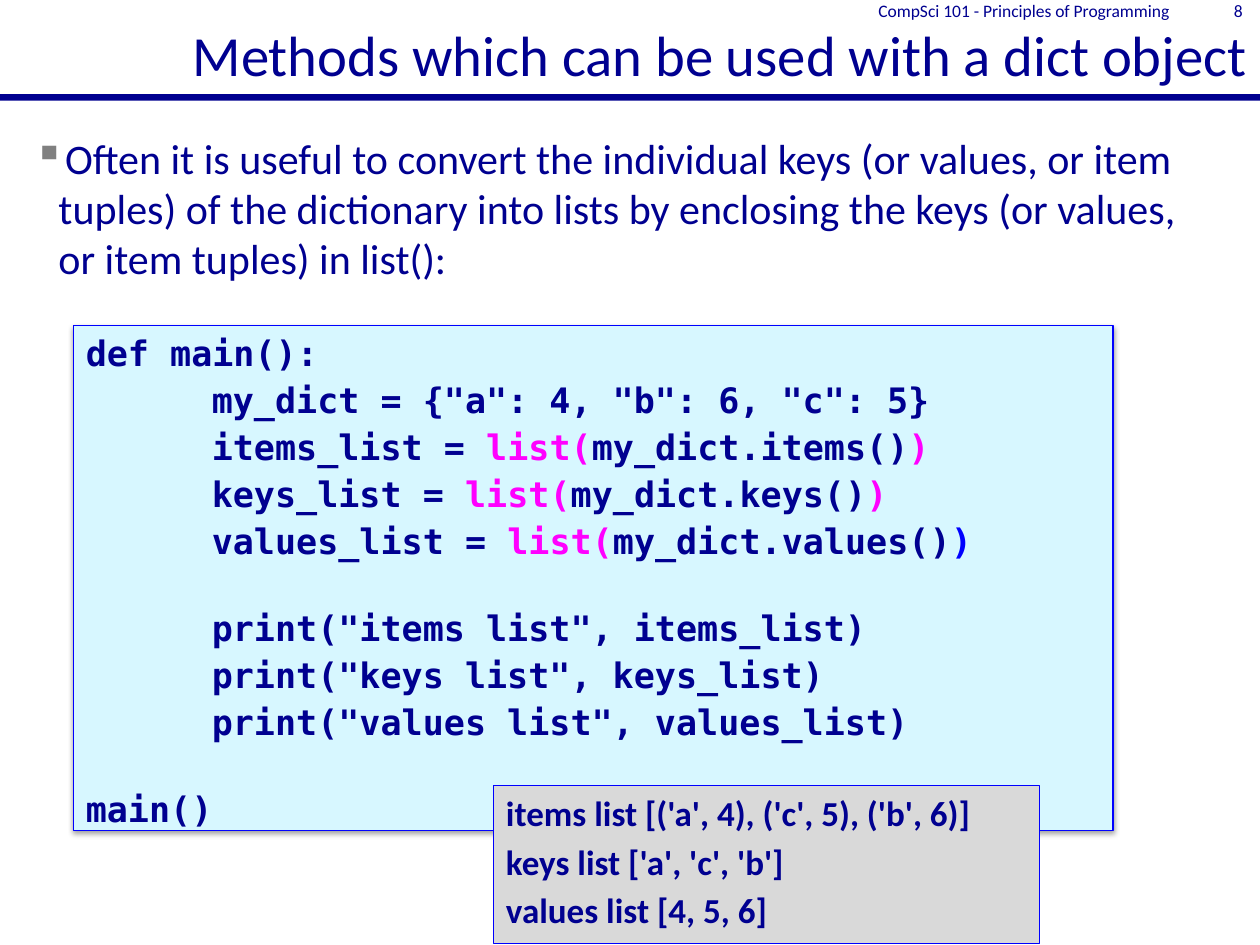
from dataclasses import dataclass

from lxml import etree
from pptx import Presentation
from pptx.dml.color import RGBColor
from pptx.enum.shapes import MSO_SHAPE
from pptx.enum.text import MSO_ANCHOR, MSO_AUTO_SIZE, PP_ALIGN
from pptx.oxml.ns import qn
from pptx.util import Cm, Pt

RECT = MSO_SHAPE.RECTANGLE
TOP, MIDDLE, BOTTOM = MSO_ANCHOR.TOP, MSO_ANCHOR.MIDDLE, MSO_ANCHOR.BOTTOM
LEFT, RIGHT = PP_ALIGN.LEFT, PP_ALIGN.RIGHT
NO_FIT = MSO_AUTO_SIZE.NONE


@dataclass(frozen=True)
class Theme:
    navy: str = "000090"
    blue: str = "0000FF"
    magenta: str = "FF00FF"
    code_fill: str = "D7F7FF"
    output_fill: str = "D9D9D9"
    bullet: str = "808080"
    sans: str = "Calibri"
    mono: str = "DejaVu Sans Mono"
    title_size: float = 32.4
    body_size: float = 24
    code_size: float = 20
    header_size: float = 10


class SlideBuilder:
    """Holds the theme and the current slide."""

    def __init__(self, prs, theme):
        self.theme = theme
        self.s = prs.slides.add_slide(prs.slide_layouts[5])

    def frame(self, sp, anchor=TOP):
        tf = sp.text_frame
        settings = {"word_wrap": True, "auto_size": NO_FIT, "vertical_anchor": anchor}
        for name, value in settings.items():
            setattr(tf, name, value)
        return tf

    def paragraph(self, tf, runs, size, font=None, bold=False, align=LEFT,
                  before=0, indent=0):
        """Fill the first empty paragraph or add one; runs are (text, colour)."""
        p = tf.paragraphs[0]
        if p.runs:
            p = tf.add_paragraph()
        p.alignment, p.space_before = align, Pt(before)
        if indent:
            p._p.get_or_add_pPr().set("marL", str(Cm(indent)))
        for text, color in runs:
            r = p.add_run()
            r.text = text
            style = {"name": font or self.theme.sans, "size": Pt(size), "bold": bold}
            for name, value in style.items():
                setattr(r.font, name, value)
            r.font.color.rgb = RGBColor.from_string(color)
        return p

    def title(self, text, box):
        sp = self.s.shapes.title
        for name, value in zip(("left", "top", "width", "height"), box):
            setattr(sp, name, Cm(value))
        self.paragraph(self.frame(sp, BOTTOM), [(text, self.theme.navy)],
                       self.theme.title_size, align=RIGHT)

    def text(self, text, box, size, anchor=TOP, align=LEFT):
        sp = self.s.shapes.add_textbox(*map(Cm, box))
        return self.paragraph(self.frame(sp, anchor), [(text, self.theme.navy)],
                              size, align=align)

    def bullet(self, text, box):
        p = self.text(text, box, self.theme.body_size)
        pPr = p._p.get_or_add_pPr()
        pPr.set("marL", str(Cm(0.5)))
        pPr.set("indent", str(Cm(-0.5)))
        color = etree.SubElement(pPr, qn("a:buClr"))
        etree.SubElement(color, qn("a:srgbClr"), val=self.theme.bullet)
        etree.SubElement(pPr, qn("a:buChar"), char="▪")

    def rect(self, box, fill, line=None):
        sp = self.s.shapes.add_shape(RECT, *map(Cm, box))
        sp.shadow.inherit = False
        sp.fill.solid()
        sp.fill.fore_color.rgb = RGBColor.from_string(fill)
        if line:
            sp.line.color.rgb = RGBColor.from_string(line)
            sp.line.width = Pt(0.75)
        else:
            sp.line.fill.background()
        return sp

    def soft_shadow(self, sp):
        effects = sp._element.spPr.find(qn("a:effectLst"))
        shadow = etree.SubElement(effects, qn("a:outerShdw"), blurRad=str(Pt(3.1)),
                                  dist=str(Pt(1.6)), dir="5400000", rotWithShape="0")
        color = etree.SubElement(shadow, qn("a:srgbClr"), val="000000")
        etree.SubElement(color, qn("a:alpha"), val="38000")

    def code(self, blocks, box):
        """Each block is a list of (indent, runs); a wide gap parts the blocks."""
        t = self.theme
        sp = self.rect(box, t.code_fill, t.blue)
        self.soft_shadow(sp)
        tf = self.frame(sp)
        for b, block in enumerate(blocks):
            for i, (indent, runs) in enumerate(block):
                before = 25.8 if b and i == 0 else 2.8
                self.paragraph(tf, runs, t.code_size, t.mono, True,
                               before=before, indent=indent)

    def output(self, lines, box):
        t = self.theme
        tf = self.frame(self.rect(box, t.output_fill, t.blue))
        for line in lines:
            self.paragraph(tf, [(line, t.navy)], t.code_size, bold=True, before=3.6)


def main():
    prs = Presentation()
    prs.slide_width, prs.slide_height = Cm(25.4), Cm(19.05)
    t = Theme()
    slide = SlideBuilder(prs, t)

    # Title, rule and page header
    slide.rect((0, 1.9, 25.4, 0.13), t.navy)
    slide.title("Methods which can be used with a dict object", (0, 0, 25.4, 1.9))
    for text, left, width in (("CompSci 101 - Principles of Programming", 16.2, 7.62),
                              ("8", 23.82, 1.48)):
        slide.text(text, (left, 0, width, 0.44), t.header_size, MIDDLE, RIGHT)

    # Explanation
    slide.bullet("Often it is useful to convert the individual keys (or values, or "
                 "item tuples) of the dictionary into lists by enclosing the keys "
                 "(or values, or item tuples) in list():", (0.43, 2.54, 24.33, 13.03))

    # Program listing
    tab = 2.54
    conversions = [
        (tab, [(f"{name}_list = ", t.navy), ("list(", t.magenta),
               (f"my_dict.{name}()", t.navy), (")", close)])
        for name, close in (("items", t.magenta), ("keys", t.magenta),
                            ("values", t.blue))]
    prints = [(tab, [(f'print("{name} list", {name}_list)', t.navy)])
              for name in ("items", "keys", "values")]
    slide.code([
        [(0, [("def main():", t.navy)]),
         (tab, [('my_dict = {"a": 4, "b": 6, "c": 5}', t.navy)]),
         *conversions],
        prints,
        [(0, [("main()", t.navy)])],
    ], (1.48, 6.56, 20.96, 10.18))

    # Program output
    slide.output(["items list [('a', 4), ('c', 5), ('b', 6)]",
                  "keys list ['a', 'c', 'b']",
                  "values list [4, 5, 6]"], (9.95, 15.84, 11, 3.18))

    prs.save("out.pptx")


if __name__ == "__main__":
    main()
